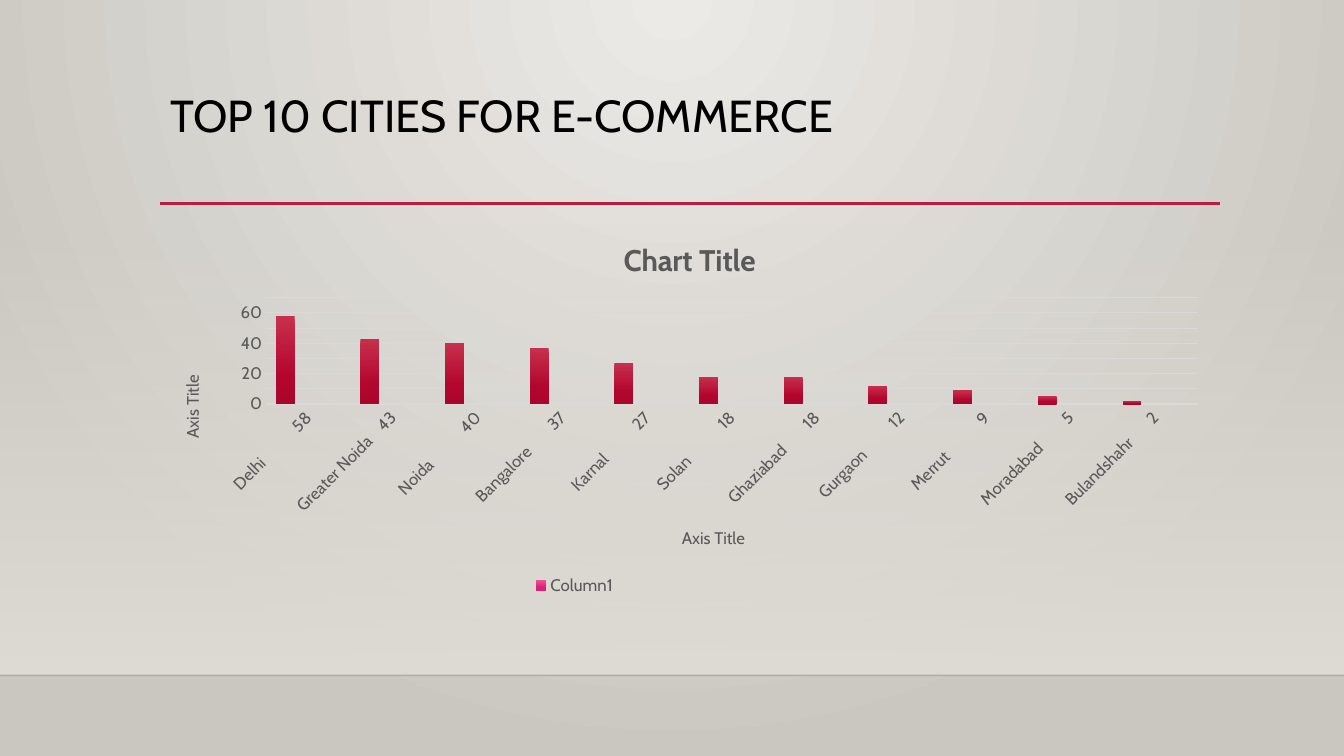
from dataclasses import dataclass

from pptx import Presentation
from pptx.chart.data import CategoryChartData
from pptx.dml.color import RGBColor
from pptx.enum.chart import XL_CHART_TYPE as ChartType
from pptx.enum.chart import XL_LEGEND_POSITION as LegendPosition
from pptx.enum.chart import XL_TICK_MARK as TickMark
from pptx.enum.shapes import MSO_CONNECTOR as Connector
from pptx.enum.shapes import MSO_SHAPE as Shape
from pptx.enum.text import MSO_ANCHOR as Anchor
from pptx.enum.text import PP_ALIGN as Align
from pptx.oxml import parse_xml
from pptx.oxml.ns import nsdecls, qn
from pptx.util import Inches, Pt


@dataclass(frozen=True)
class Theme:
    font: str = "Cabin"
    title_size: float = 32
    chart_title_size: float = 21.3
    label_size: float = 12
    ink: str = "000000"
    label: str = "595959"
    grid: str = "D9D9D9"
    accent: str = "B71E42"
    # Gradient stops: position, colour, opacity in percent
    backdrop: tuple = ((0, "ECEAE7", 100), (100, "CAC7C1", 100))
    wall: tuple = ((0, "DFDBD5", 0), (100, "DFDBD5", 100))
    red: tuple = ((0, "C7304C", 100), (69, "B3062F", 100), (100, "AA062C", 100))
    pink: tuple = ((0, "E75597", 100), (69, "E51A79", 100), (100, "CF2374", 100))
    purple: tuple = ((0, "C57FF7", 100), (69, "AA41F3", 100), (100, "A13FE5", 100))


THEME = Theme()

CITIES = {
    "Delhi": 58, "Greater Noida": 43, "Noida": 40, "Bangalore": 37,
    "Karnal": 27, "Solan": 18, "Ghaziabad": 18, "Gurgaon": 12,
    "Merrut": 9, "Moradabad": 5, "Bulandshahr": 2,
}


def style_font(font, size, color, bold=False):
    font.name = THEME.font
    font.size = Pt(size)
    font.bold = bold
    font.color.rgb = RGBColor.from_string(color)


def paint_gradient(fill, owner, stops, circle=False):
    """Fill with vertical stops, or with a circle spreading from the top."""
    fill.gradient()
    stop_xml = "".join(
        f'<a:gs pos="{position * 1000}"><a:srgbClr val="{color}">'
        f'<a:alpha val="{opacity * 1000}"/></a:srgbClr></a:gs>'
        for position, color, opacity in stops
    )
    shade = (
        '<a:path path="circle"><a:fillToRect l="43000" r="43000" b="100000"/></a:path>'
        if circle else '<a:lin ang="5400000" scaled="0"/>'
    )
    gradient = parse_xml(
        f'<a:gradFill {nsdecls("a")} rotWithShape="1">'
        f"<a:gsLst>{stop_xml}</a:gsLst>{shade}</a:gradFill>"
    )
    current = owner.find(".//" + qn("a:gradFill"))
    current.getparent().replace(current, gradient)


def add_line(slide, left, right, top, color, width, opacity=100):
    line = slide.shapes.add_connector(
        Connector.STRAIGHT, Inches(left), Inches(top), Inches(right), Inches(top)
    )
    line.line.color.rgb = RGBColor.from_string(color)
    line.line.width = Pt(width)
    if opacity < 100:
        line.element.find(".//" + qn("a:srgbClr")).append(
            parse_xml(f'<a:alpha {nsdecls("a")} val="{opacity * 1000}"/>')
        )
    line.element.spPr.append(parse_xml(f'<a:effectLst {nsdecls("a")}/>'))


def add_backdrop(slide):
    paint_gradient(slide.background.fill, slide.element, THEME.backdrop, circle=True)
    wall = slide.shapes.add_shape(
        Shape.RECTANGLE, 0, Inches(2.21), Inches(13.33), Inches(4.49)
    )
    wall.shadow.inherit = False
    wall.line.fill.background()
    paint_gradient(wall.fill, wall.element, THEME.wall)
    add_line(slide, 0, 13.33, 6.7, THEME.ink, 1, opacity=20)
    add_line(slide, 1.59, 12.1, 2.02, THEME.accent, 2.5)


def set_title(slide, text):
    title = slide.shapes.title
    title.left, title.top = Inches(1.59), Inches(0.88)
    title.width, title.height = Inches(10.5), Inches(1.15)
    title.text_frame.vertical_anchor = Anchor.TOP
    paragraph = title.text_frame.paragraphs[0]
    paragraph.alignment = Align.LEFT
    paragraph.line_spacing = 0.9
    run = paragraph.add_run()
    run.text = text
    style_font(run.font, THEME.title_size, THEME.ink)


def title_part(part, text, size, bold=False):
    """Title a chart or one of its axes."""
    frame = getattr(part, "chart_title", None) or part.axis_title
    run = frame.text_frame.paragraphs[0].add_run()
    run.text = text
    style_font(run.font, size, THEME.label, bold)


def place_part(element, position, inner=False, **fractions):
    """Give a chart part a manual layout in fractions of the chart."""
    for layout in element.findall(qn("c:layout")):
        element.remove(layout)
    target = '<c:layoutTarget val="inner"/>' if inner else ""
    modes = '<c:xMode val="edge"/><c:yMode val="edge"/>'
    sizes = "".join(f'<c:{key} val="{value}"/>' for key, value in fractions.items())
    element.insert(position, parse_xml(
        f'<c:layout {nsdecls("c")}><c:manualLayout>{target}{modes}{sizes}'
        "</c:manualLayout></c:layout>"
    ))


def style_axis(axis):
    axis.major_tick_mark = axis.minor_tick_mark = TickMark.NONE
    style_font(axis.tick_labels.font, THEME.label_size, THEME.label)
    title_part(axis, "Axis Title", THEME.label_size)


def style_legend(chart, hidden):
    chart.has_legend = True
    legend = chart.legend
    legend.position = LegendPosition.BOTTOM
    legend.include_in_layout = False
    style_font(legend.font, THEME.label_size, THEME.label)
    element = legend._element
    for offset, index in enumerate(hidden, start=1):
        element.insert(offset, parse_xml(
            f'<c:legendEntry {nsdecls("c")}><c:idx val="{index}"/>'
            '<c:delete val="1"/></c:legendEntry>'
        ))
    place_part(element, len(hidden) + 1, x=0.35, y=0.92)


def add_city_chart(slide):
    # Each label holds the city and its count, aligned in one 19-character field
    data = CategoryChartData()
    data.categories = [f"{city:<17}{count:>2}" for city, count in CITIES.items()]
    data.add_series("Series 1", CITIES.values())
    for name in ("Column1", "Column2"):
        data.add_series(name, [None] * len(CITIES))
    chart = slide.shapes.add_chart(
        ChartType.COLUMN_CLUSTERED,
        Inches(1.59), Inches(2.2), Inches(10.5), Inches(3.77), data,
    ).chart
    style_font(chart.font, 10, THEME.ink)
    chart.has_title = True
    title_part(chart, "Chart Title", THEME.chart_title_size, bold=True)

    # Columns
    plot = chart.plots[0]
    plot.vary_by_categories = False
    plot.gap_width, plot.overlap = 100, -24
    for series, stops in zip(plot.series, (THEME.red, THEME.pink, THEME.purple)):
        paint_gradient(series.format.fill, series._element, stops)

    # Axes
    cities, counts = chart.category_axis, chart.value_axis
    style_axis(cities)
    style_axis(counts)
    cities.format.line.color.rgb = RGBColor.from_string(THEME.grid)
    cities.format.line.width = Pt(1)
    cities._element.find(qn("c:txPr")).find(qn("a:bodyPr")).set("rot", "-2700000")
    counts.minimum_scale, counts.maximum_scale, counts.major_unit = 0, 70, 10
    counts.format.line.fill.background()
    counts.axis_title.text_frame._txBody.bodyPr.set("rot", "-5400000")
    gridlines = counts.major_gridlines.format.line
    gridlines.color.rgb = RGBColor.from_string(THEME.grid)
    gridlines.width = Pt(0.75)

    style_legend(chart, hidden=(0, 2))
    plot_area = chart.element.find(".//" + qn("c:plotArea"))
    place_part(plot_area, 0, inner=True, x=0.1, y=0.2, w=0.88, h=0.28)


def main():
    presentation = Presentation()
    presentation.slide_width, presentation.slide_height = Inches(13.33), Inches(7.5)
    slide = presentation.slides.add_slide(presentation.slide_layouts[5])
    add_backdrop(slide)
    set_title(slide, "TOP 10 CITIES FOR E-COMMERCE")
    add_city_chart(slide)
    presentation.save("out.pptx")


if __name__ == "__main__":
    main()
